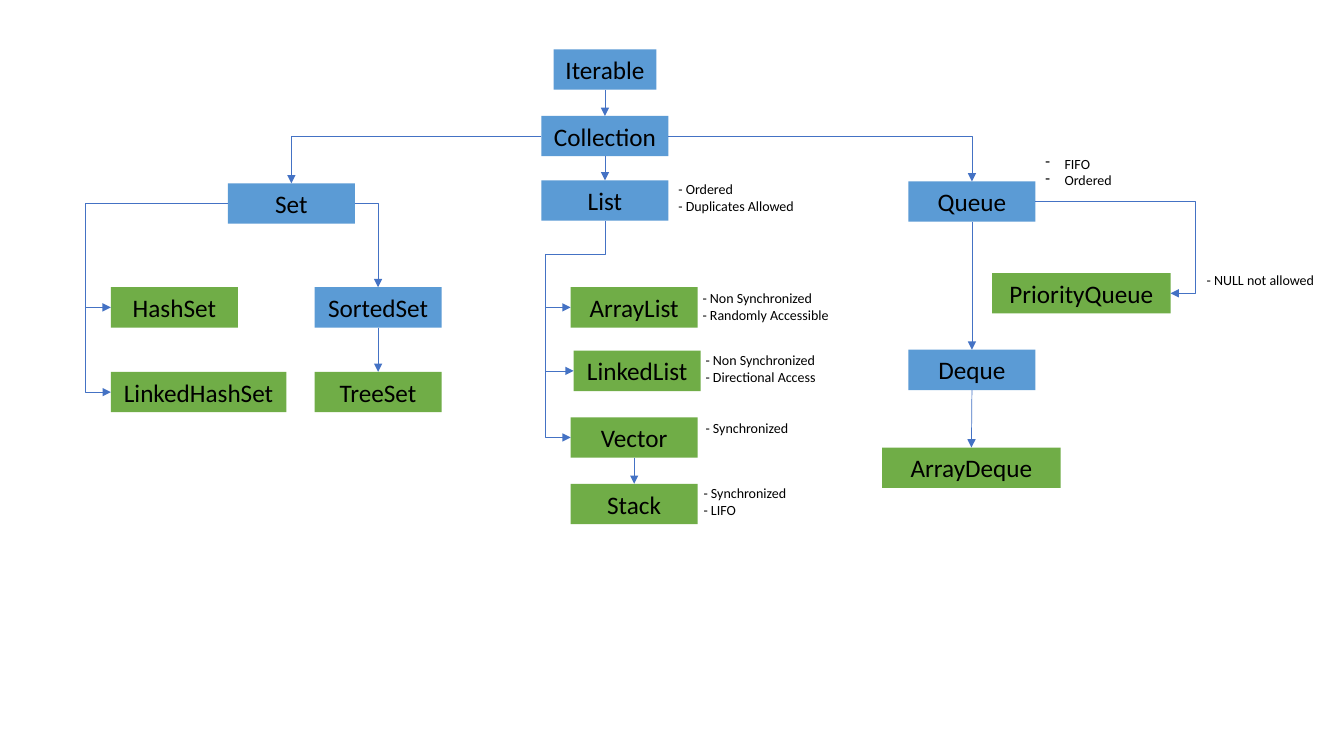
"""Class hierarchy of the collections framework on one slide."""
from lxml.etree import SubElement
from pptx import Presentation
from pptx.dml.color import RGBColor
from pptx.enum.shapes import MSO_CONNECTOR, MSO_SHAPE
from pptx.enum.text import MSO_ANCHOR, MSO_AUTO_SIZE, PP_ALIGN
from pptx.oxml.ns import qn
from pptx.util import Inches, Pt

COLORS = {"interface": "5B9BD5", "class": "70AD47", "line": "4472C4", "text": "000000"}
FONT = "Calibri"
NODE_W, NODE_H = 1.26, 0.4
TRUNK_GAP = 0.25


def rgb(name):
    """Return the named colour."""
    return RGBColor.from_string(COLORS[name])


def write(sp, text, size=18, align=PP_ALIGN.LEFT, anchor=MSO_ANCHOR.TOP, wrap=True, dash=False):
    """Write one paragraph per line of text, with dash bullets if asked."""
    tf = sp.text_frame
    tf.word_wrap, tf.vertical_anchor = wrap, anchor
    tf.auto_size = MSO_AUTO_SIZE.SHAPE_TO_FIT_TEXT
    for i, line in enumerate(text.split("\n")):
        p = tf.add_paragraph() if i else tf.paragraphs[0]
        p.alignment = align
        r = p.add_run()
        r.text = line
        r.font.size, r.font.name = Pt(size), FONT
        r.font.color.rgb = rgb("text")
        if dash:
            pPr = p._p.get_or_add_pPr()
            pPr.set("marL", str(Inches(0.19)))
            pPr.set("indent", str(-Inches(0.19)))
            SubElement(pPr, qn("a:buChar"), char="-")


def node(slide, text, x, y, w=NODE_W, kind="class"):
    """Draw a named type and return its side midpoints."""
    sp = slide.shapes.add_shape(MSO_SHAPE.RECTANGLE, Inches(x), Inches(y), Inches(w), Inches(NODE_H))
    sp.shadow.inherit = False
    sp.fill.solid()
    sp.fill.fore_color.rgb = rgb(kind)
    sp.line.fill.background()
    write(sp, text, align=PP_ALIGN.CENTER, anchor=MSO_ANCHOR.MIDDLE, wrap=False)
    mid_x, mid_y = x + w / 2, y + NODE_H / 2
    return {"top": (mid_x, y), "bottom": (mid_x, y + NODE_H),
            "left": (x, mid_y), "right": (x + w, mid_y)}


def note(slide, text, x, y, w=1.54, dash=False):
    """Place a small list of properties."""
    h = 0.1 + 0.17 * len(text.split("\n"))
    sp = slide.shapes.add_textbox(Inches(x), Inches(y), Inches(w), Inches(h))
    write(sp, text, size=10, dash=dash)


def link(slide, start, end, preset=None, down=False, adjust=()):
    """Draw an arrow, bent if a preset is given, leaving downwards if asked."""
    points = [Inches(v) for v in (*start, *end)]
    kind = MSO_CONNECTOR.ELBOW if preset else MSO_CONNECTOR.STRAIGHT
    sp = slide.shapes.add_connector(kind, *points)
    sp.line.color.rgb = rgb("line")
    sp.line.width = Pt(0.5)
    spPr = sp._element.spPr
    SubElement(sp.line._get_or_add_ln(), qn("a:tailEnd"), type="triangle")
    SubElement(spPr, qn("a:effectLst"))
    if preset:
        geom = spPr.find(qn("a:prstGeom"))
        geom.set("prst", preset)
        for i, value in enumerate(adjust, 1):
            SubElement(geom.get_or_add_avLst(), qn("a:gd"), name=f"adj{i}", fmla=f"val {round(value * 100000)}")
    if down:
        turn_down(sp, end[0] > start[0])


def turn_down(sp, rightward):
    """Turn a bent connector so that its first leg runs downwards."""
    mid_x, mid_y = sp.left + sp.width // 2, sp.top + sp.height // 2
    sp.width, sp.height = sp.height, sp.width
    sp.left, sp.top = mid_x - sp.width // 2, mid_y - sp.height // 2
    xfrm = sp._element.spPr.find(qn("a:xfrm"))
    xfrm.set("rot", str(90 * 60000))
    xfrm.set("flipH", "0")
    xfrm.set("flipV", str(int(rightward)))


def overshoot(start, end):
    """Return the adjustment that puts the trunk one gap beyond the end."""
    return 1 + TRUNK_GAP / abs(end[0] - start[0])


def root_types(slide, x, y):
    """Draw the two root interfaces and return Collection."""
    iterable = node(slide, "Iterable", x + 0.12, y, 1.02, "interface")
    collection = node(slide, "Collection", x, y + 0.66, kind="interface")
    link(slide, iterable["bottom"], collection["top"])
    return collection


def set_branch(slide, x, y):
    """Draw the Set family and return Set."""
    top = node(slide, "Set", x + 1.16, y, kind="interface")
    sorted_set = node(slide, "SortedSet", x + 2.02, y + 1.03, kind="interface")
    hash_set = node(slide, "HashSet", x, y + 1.03)
    linked = node(slide, "LinkedHashSet", x, y + 1.87, 1.74)
    tree = node(slide, "TreeSet", x + 2.02, y + 1.87)
    link(slide, top["right"], sorted_set["top"], "bentConnector2")
    link(slide, sorted_set["bottom"], tree["top"])
    first = hash_set["left"]
    link(slide, top["left"], first, "bentConnector3", adjust=[overshoot(top["left"], first)])
    link(slide, (x - TRUNK_GAP, first[1]), linked["left"], "bentConnector2", down=True)
    return top


def list_branch(slide, x, y):
    """Draw the List family and return List."""
    top = node(slide, "List", x, y, kind="interface")
    note(slide, "- Ordered\n- Duplicates Allowed", x + NODE_W, y - 0.05, 1.41)
    rows = [("ArrayList", 0.29, 1.06, "- Non Synchronized\n- Randomly Accessible", 1.5, 1.03),
            ("LinkedList", 0.32, 1.69, "- Non Synchronized\n- Directional Access", 1.53, 1.65),
            ("Vector", 0.29, 2.35, "- Synchronized", 1.53, 2.32),
            ("Stack", 0.29, 3.01, "- Synchronized\n- LIFO", 1.51, 2.97)]
    nodes = []
    for name, dx, dy, text, note_dx, note_dy in rows:
        nodes.append(node(slide, name, x + dx, y + dy))
        note(slide, text, x + note_dx, y + note_dy)
    array, linked, vector, stack = nodes
    start, first = top["bottom"], array["left"]
    drop = 0.33
    link(slide, start, first, "bentConnector4", down=True,
         adjust=[drop / (first[1] - start[1]), overshoot(start, first)])
    trunk = first[0] - TRUNK_GAP
    link(slide, (trunk, start[1] + drop), linked["left"], "bentConnector2", down=True)
    link(slide, (trunk, linked["left"][1]), vector["left"], "bentConnector2", down=True)
    link(slide, vector["bottom"], stack["top"])
    return top


def queue_branch(slide, x, y):
    """Draw the Queue family and return Queue."""
    top = node(slide, "Queue", x, y, kind="interface")
    deque = node(slide, "Deque", x, y + 1.67, kind="interface")
    priority = node(slide, "PriorityQueue", x + 0.83, y + 0.91, 1.77)
    array = node(slide, "ArrayDeque", x - 0.26, y + 2.64, 1.77)
    start, end = top["right"], priority["right"]
    link(slide, start, end, "bentConnector3", adjust=[overshoot(start, end)])
    link(slide, top["bottom"], deque["top"])
    link(slide, deque["bottom"], array["top"])
    note(slide, "FIFO\nOrdered", x + NODE_W, y - 0.31, 1.41, dash=True)
    note(slide, "- NULL not allowed", x + 2.86, y + 0.84, 1.41)
    return top


def main():
    """Build the slide and save it."""
    prs = Presentation()
    prs.slide_width, prs.slide_height = Inches(13.33), Inches(7.5)
    slide = prs.slides.add_slide(prs.slide_layouts[6])
    collection = root_types(slide, 5.37, 0.49)
    set_top = set_branch(slide, 1.1, 1.82)
    list_top = list_branch(slide, 5.37, 1.79)
    queue_top = queue_branch(slide, 9.01, 1.8)
    link(slide, collection["left"], set_top["top"], "bentConnector2")
    link(slide, collection["bottom"], list_top["top"])
    link(slide, collection["right"], queue_top["top"], "bentConnector2")
    prs.save("out.pptx")


main()
